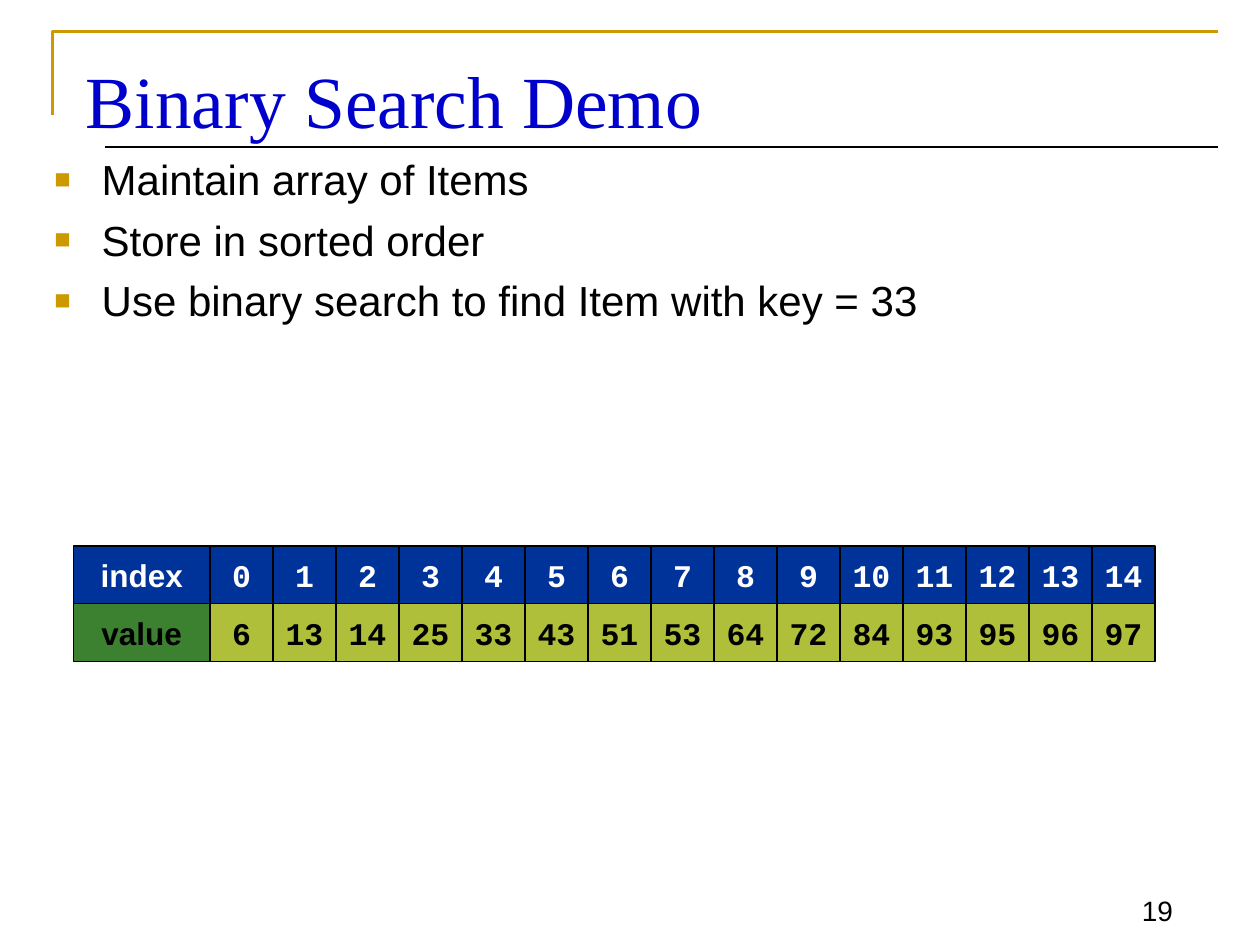
"""Build the binary search demo slide."""
from dataclasses import dataclass

from lxml.etree import SubElement
from pptx import Presentation
from pptx.dml.color import RGBColor
from pptx.enum.shapes import MSO_CONNECTOR, MSO_SHAPE
from pptx.enum.text import MSO_ANCHOR, PP_ALIGN
from pptx.oxml.ns import qn
from pptx.util import Pt

SCALE = 9525


@dataclass(frozen=True)
class Theme:
    gold: str = "CC9900"
    black: str = "000000"
    white: str = "FFFFFF"
    blue: str = "0000CC"
    navy: str = "003399"
    green: str = "3B812F"
    lime: str = "AFBF39"
    sans: str = "Arial"
    serif: str = "Times New Roman"
    mono: str = "Courier New"
    title: int = 42
    body: int = 24
    cell: int = 18
    foot: int = 16
    thin: float = 0.75
    thick: float = 1.5


def px(*sizes):
    return [size * SCALE for size in sizes]


def rgb(code):
    return RGBColor.from_string(code)


def write(para, text, *, font, size, color, bold=False, align=PP_ALIGN.LEFT):
    para.alignment = align
    run = para.add_run()
    run.text = text
    run.font.name = font
    run.font.size = Pt(size)
    run.font.bold = bold
    run.font.color.rgb = rgb(color)


class Page:
    def __init__(self, slide, theme):
        self.shapes = slide.shapes
        self.theme = theme

    def stroke(self, shape, color, width):
        shape.line.color.rgb = rgb(color)
        shape.line.width = Pt(width)

    def corner(self, start, *points, color, width):
        pen = self.shapes.build_freeform(*start, scale=SCALE)
        pen.add_line_segments(points, close=False)
        shape = pen.convert_to_shape()
        shape.fill.background()
        shape.shadow.inherit = False
        self.stroke(shape, color, width)

    def rule(self, start, end, color, width):
        line = self.shapes.add_connector(MSO_CONNECTOR.STRAIGHT, *px(*start, *end))
        SubElement(line._element.spPr, qn("a:effectLst"))
        self.stroke(line, color, width)

    def text(self, box, lines, anchor=MSO_ANCHOR.TOP, top=5, mark=None, **style):
        frame = self.shapes.add_textbox(*px(*box)).text_frame
        frame.word_wrap = True
        frame.vertical_anchor = anchor
        frame.margin_top, = px(top)
        for spot, line in enumerate(lines):
            para = frame.add_paragraph() if spot else frame.paragraphs[0]
            write(para, line, **style)
            if mark:
                self.bullet(para, mark)

    def bullet(self, para, color):
        para.space_before = Pt(5.8)
        props = para._p.get_or_add_pPr()
        indent, = px(36)
        props.set("marL", str(indent))
        props.set("indent", str(-indent))
        tint = SubElement(props, qn("a:buClr"))
        SubElement(tint, qn("a:srgbClr"), val=color)
        SubElement(props, qn("a:buSzPct"), val="65000")
        SubElement(props, qn("a:buFont"), typeface=self.theme.sans)
        SubElement(props, qn("a:buChar"), char="■")

    def cell(self, group, box, text, fill, **style):
        shape = group.shapes.add_shape(MSO_SHAPE.RECTANGLE, *px(*box))
        shape.shadow.inherit = False
        shape.fill.solid()
        shape.fill.fore_color.rgb = rgb(fill)
        self.stroke(shape, self.theme.black, self.theme.thin)
        frame = shape.text_frame
        frame.word_wrap = False
        frame.vertical_anchor = MSO_ANCHOR.MIDDLE
        write(frame.paragraphs[0], text, size=self.theme.cell, bold=True,
              align=PP_ALIGN.CENTER, **style)

    def row(self, top, label, items, head, fill, color):
        left, first, width, height = 56, 104, 48, 44
        group = self.shapes.add_group_shape()
        self.cell(group, (left, top, first, height), label, head,
                  font=self.theme.sans, color=color)
        for spot, item in enumerate(items):
            box = (left + first + spot * width, top, width, height)
            self.cell(group, box, str(item), fill, font=self.theme.mono, color=color)


def main():
    look = Theme()
    deck = Presentation()
    deck.slide_width, deck.slide_height = px(960, 720)
    page = Page(deck.slides.add_slide(deck.slide_layouts[6]), look)

    page.corner((40, 88), (40, 24), (928, 24), color=look.gold, width=look.thick)
    page.rule((80, 112), (928, 112), look.black, look.thin)
    page.text((840, 664, 63, 47), ["19"], MSO_ANCHOR.BOTTOM, font=look.sans,
              size=look.foot, color=look.black, align=PP_ALIGN.RIGHT)

    values = [6, 13, 14, 25, 33, 43, 51, 53, 64, 72, 84, 93, 95, 96, 97]
    page.row(416, "index", range(len(values)), look.navy, look.navy, look.white)
    page.row(460, "value", values, look.green, look.lime, look.black)

    page.text((32, 112, 896, 168),
              ["Maintain array of Items", "Store in sorted order",
               "Use binary search to find Item with key = 33"],
              mark=look.gold, font=look.sans, size=look.body, color=look.black)
    page.text((56, 32, 872, 72), ["Binary Search Demo"], top=10,
              font=look.serif, size=look.title, color=look.blue)
    deck.save("out.pptx")


if __name__ == "__main__":
    main()
